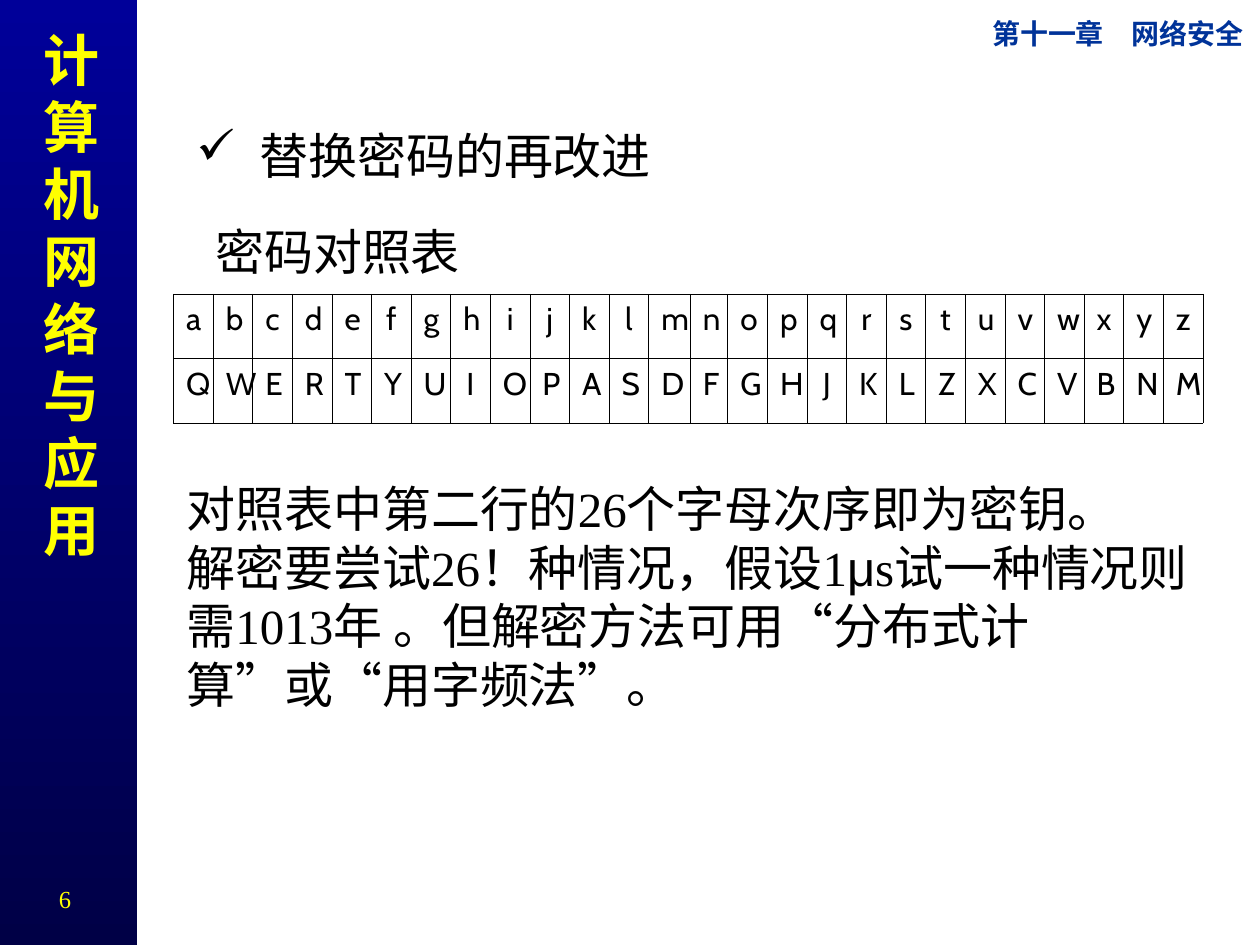
from dataclasses import dataclass

from lxml.etree import SubElement
from pptx import Presentation
from pptx.dml.color import RGBColor
from pptx.enum.shapes import MSO_SHAPE
from pptx.enum.text import MSO_ANCHOR, PP_ALIGN
from pptx.oxml.ns import qn
from pptx.slide import Slide
from pptx.table import _Cell as Cell
from pptx.util import Cm, Pt

BLACK = RGBColor(0, 0, 0)
YELLOW = RGBColor(0xFF, 0xFF, 0)
HEADER_BLUE = RGBColor(0, 0x33, 0x99)
BAND_TOP = RGBColor(0, 0, 0x99)
BAND_BOTTOM = RGBColor(0, 0, 0x46)

SERIF = "Times New Roman"
CHINESE = "Noto Sans CJK SC"
LINE_HEIGHT = 1.2

PLAIN_ALPHABET = "abcdefghijklmnopqrstuvwxyz"
CIPHER_ALPHABET = "QWERTYUIOPASDFGHJKLZXCVBNM"
TABLE_WIDTH = 20.75
ROW_HEIGHT = 1.3
WIDTH_CHANGES = {"m": 0.04, "n": -0.04}


@dataclass
class TextBlock:
    """Text at (left, top, width, height) in cm; each paragraph lists (text, font) runs."""
    box: tuple[float, float, float, float]
    paragraphs: list[list[tuple[str, str]]]
    size: float = 28
    color: RGBColor = BLACK
    bold: bool = False
    align: PP_ALIGN = PP_ALIGN.LEFT
    anchor: MSO_ANCHOR = MSO_ANCHOR.TOP
    margins: tuple[float, float] = (0.25, 0.13)
    bullet: str = ""


TEXT_BLOCKS = [
    TextBlock((0.36, 0.38, 1.9, 11.1), [[("计算机网络与应用", SERIF)]], size=32,
              color=YELLOW, bold=True, align=PP_ALIGN.RIGHT),
    TextBlock((19.13, 0.33, 5.94, 0.69), [[("第十一章　网络安全", SERIF)]], size=16,
              color=HEADER_BLUE, bold=True, align=PP_ALIGN.RIGHT, margins=(0, 0)),
    TextBlock((3.71, 2.31, 20.42, 1.63), [[("替换密码的再改进", SERIF)]],
              anchor=MSO_ANCHOR.MIDDLE, bullet="✓"),
    TextBlock((4.09, 4.32, 17.81, 1.47), [[("密码对照表", CHINESE)]],
              anchor=MSO_ANCHOR.MIDDLE),
    TextBlock((3.51, 9.12, 21.11, 5.79), [
        [("对照表中第二行的26个字母次序即为密钥。", SERIF)],
        [("解密要尝试26！种情况，假设1", SERIF), ("μ", "Arial"),
         ("s试一种情况则需1013年 。但解密方法可用“分布式计算”或“用字频法”。", SERIF)],
    ], anchor=MSO_ANCHOR.MIDDLE),
    TextBlock((0.56, 17.7, 1.5, 0.86), [[("6", SERIF)]], size=14,
              color=YELLOW, align=PP_ALIGN.CENTER),
]


def set_attributes(target, values: dict) -> None:
    for name, value in values.items():
        setattr(target, name, value)


def add_run(paragraph, text: str, font_name: str, size: float, color: RGBColor,
            bold: bool = False) -> None:
    run = paragraph.add_run()
    run.text = text
    set_attributes(run.font, {"name": font_name, "size": Pt(size), "bold": bold})
    run.font.color.rgb = color
    properties = run.font._element
    properties.set("lang", "zh-CN")
    SubElement(properties, qn("a:ea")).set("typeface", CHINESE)


def add_bullet(paragraph, character: str) -> None:
    properties = paragraph._p.get_or_add_pPr()
    properties.set("marL", str(Cm(1.27)))
    properties.set("indent", str(-Cm(1.27)))
    SubElement(properties, qn("a:buChar")).set("char", character)


def add_text(slide: Slide, block: TextBlock) -> None:
    frame = slide.shapes.add_textbox(*map(Cm, block.box)).text_frame
    horizontal, vertical = map(Cm, block.margins)
    set_attributes(frame, {
        "word_wrap": True, "vertical_anchor": block.anchor,
        "margin_left": horizontal, "margin_right": horizontal,
        "margin_top": vertical, "margin_bottom": vertical,
    })
    for index, runs in enumerate(block.paragraphs):
        paragraph = frame.add_paragraph() if index else frame.paragraphs[0]
        set_attributes(paragraph, {"alignment": block.align,
                                   "line_spacing": Pt(block.size * LINE_HEIGHT)})
        if block.bullet:
            add_bullet(paragraph, block.bullet)
        for text, font_name in runs:
            add_run(paragraph, text, font_name, block.size, block.color, block.bold)


def add_side_band(slide: Slide) -> None:
    band = slide.shapes.add_shape(MSO_SHAPE.RECTANGLE, Cm(-0.05), 0, Cm(2.82), Cm(19.1))
    band.shadow.inherit = False
    band.line.fill.background()
    band.fill.gradient()
    band.fill.gradient_angle = 270
    for stop, color, position in zip(band.fill.gradient_stops,
                                     (BAND_TOP, BAND_BOTTOM), (0, 1)):
        stop.color.rgb = color
        stop.position = position


def add_borders(cell: Cell) -> None:
    """Draw thin black lines on all four sides; call before setting the fill."""
    properties = cell._tc.get_or_add_tcPr()
    for side in ("lnL", "lnR", "lnT", "lnB"):
        line = SubElement(properties, qn(f"a:{side}"), w=str(Pt(0.45)))
        fill = SubElement(line, qn("a:solidFill"))
        SubElement(fill, qn("a:srgbClr"), val=str(BLACK))


def add_cipher_table(slide: Slide) -> None:
    rows = (PLAIN_ALPHABET, CIPHER_ALPHABET)
    count = len(PLAIN_ALPHABET)
    table = slide.shapes.add_table(len(rows), count, Cm(3.5), Cm(5.93),
                                   Cm(TABLE_WIDTH), Cm(ROW_HEIGHT * len(rows))).table
    set_attributes(table, {"first_row": False, "horz_banding": False})
    for column, letter in zip(table.columns, PLAIN_ALPHABET):
        column.width = Cm(TABLE_WIDTH / count + WIDTH_CHANGES.get(letter, 0))
    for row, letters in zip(table.rows, rows):
        row.height = Cm(ROW_HEIGHT)
        for cell, letter in zip(row.cells, letters):
            add_borders(cell)
            cell.fill.background()
            paragraph = cell.text_frame.paragraphs[0]
            set_attributes(paragraph, {"alignment": PP_ALIGN.CENTER,
                                       "space_before": Pt(4.5)})
            add_run(paragraph, letter, "Cabin", 18, BLACK)


def main() -> None:
    presentation = Presentation()
    set_attributes(presentation, {"slide_width": Cm(25.4), "slide_height": Cm(19.05)})
    slide = presentation.slides.add_slide(presentation.slide_layouts[6])
    add_side_band(slide)
    for block in TEXT_BLOCKS:
        add_text(slide, block)
    add_cipher_table(slide)
    presentation.save("out.pptx")


if __name__ == "__main__":
    main()
